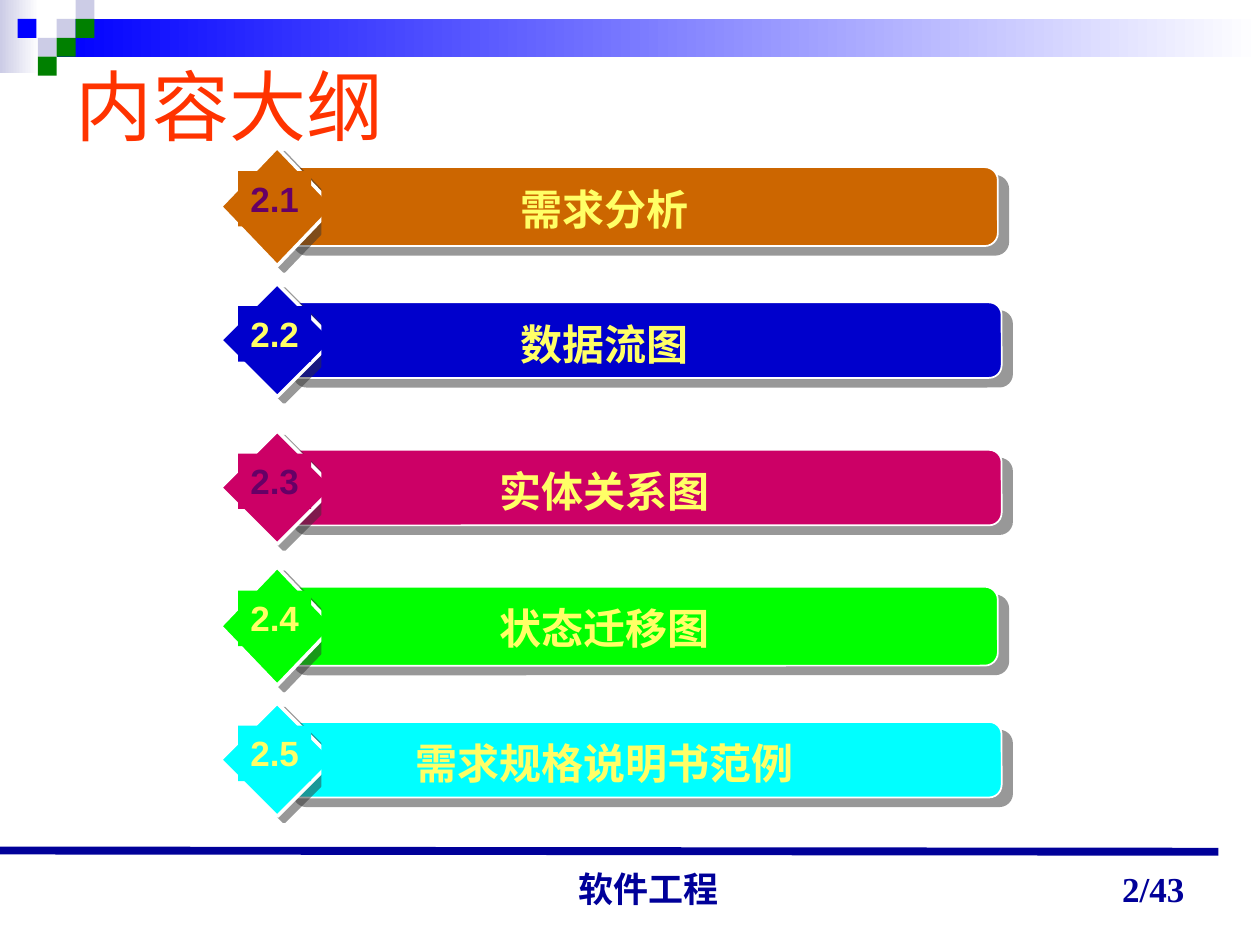
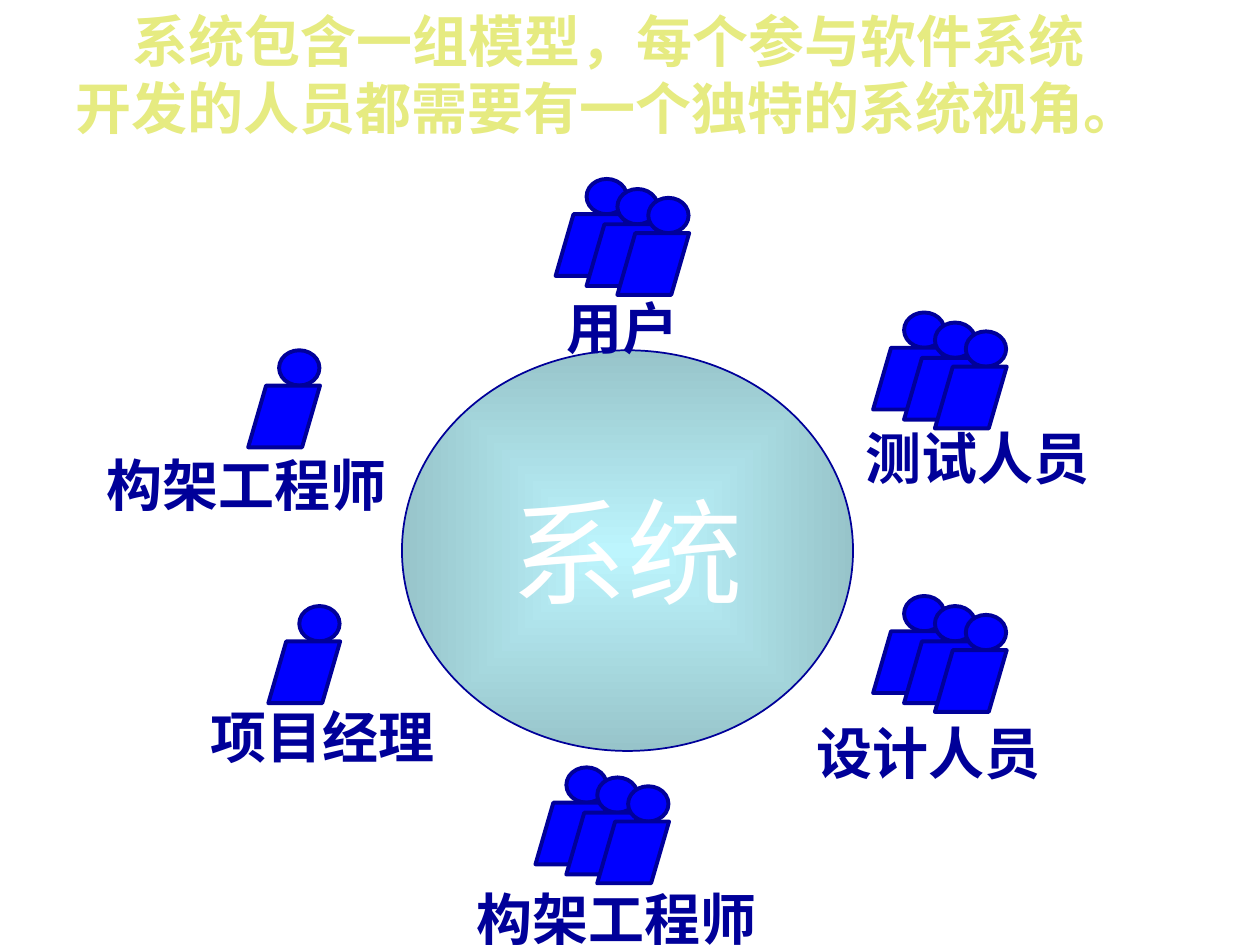
from lxml.etree import SubElement
from pptx import Presentation
from pptx.dml.color import RGBColor
from pptx.enum.shapes import MSO_CONNECTOR, MSO_SHAPE as Kind
from pptx.enum.text import MSO_ANCHOR as Anchor, PP_ALIGN as Align
from pptx.oxml import parse_xml
from pptx.oxml.ns import nsdecls, qn
from pptx.util import Pt

COLORS = {
    "navy": "000099", "blue": "0000FF", "lilac": "CCCCE6", "green": "008000",
    "white": "FFFFFF", "title": "FF3300", "caption": "FFFF66", "plum": "660066",
    "orange": "CC6600", "royal": "0000CC", "magenta": "CC0066", "lime": "00FF00",
    "cyan": "00FFFF", "shadow": "333333", "heading": "E6EB81",
    "core": "BDF5FD", "rim": "97C4CA",
}
COLORS = {name: RGBColor.from_string(value) for name, value in COLORS.items()}

presentation = Presentation()
presentation.slide_width, presentation.slide_height = Pt(720), Pt(540)
COLUMN = presentation.slide_width / 100
ROW = presentation.slide_height / 75


def add_block(slide, kind, left, top, width, height, fill, line=None, line_width=1):
    shape = slide.shapes.add_shape(
        kind, round(left * COLUMN), round(top * ROW), round(width * COLUMN), round(height * ROW))
    shape.shadow.inherit = False
    if isinstance(fill, tuple):
        shape.fill.gradient()
        shape.fill.gradient_angle = 0
        for stop, color, position in zip(shape.fill.gradient_stops, fill, (0, 1)):
            stop.color.rgb = COLORS[color]
            stop.position = position
    elif fill:
        shape.fill.solid()
        shape.fill.fore_color.rgb = COLORS[fill]
    else:
        shape.fill.background()
    if line:
        shape.line.color.rgb = COLORS[line]
        shape.line.width = Pt(line_width)
    else:
        shape.line.fill.background()
    return shape


def write(shape, text, size, color, font="Arial", bold=True, align=Align.CENTER,
          anchor=Anchor.TOP, wrap=True):
    frame = shape.text_frame
    frame.text = text
    frame.word_wrap = wrap
    frame.vertical_anchor = anchor
    for paragraph in frame.paragraphs:
        paragraph.alignment = align
        paragraph.font.size = Pt(size)
        paragraph.font.name = font
        paragraph.font.bold = bold
        paragraph.font.color.rgb = COLORS[color]


outline = presentation.slides.add_slide(presentation.slide_layouts[5])
add_block(outline, Kind.RECTANGLE, 0, 0, 3.1, 5.8, ("lilac", "white"))
add_block(outline, Kind.RECTANGLE, 4.5, 1.5, 95.5, 3, ("blue", "white"))
TILE = 1.5
for column, row, color in [(3, 1, "lilac"), (4, 0, "lilac"), (4, 1, "green"), (2, 2, "lilac"),
                           (0.93, 1, "blue"), (3, 2, "green"), (2, 3, "green")]:
    add_block(outline, Kind.RECTANGLE, column * TILE, row * TILE, TILE, TILE, color)

rule = outline.shapes.add_connector(
    MSO_CONNECTOR.STRAIGHT, 0, round(67.5 * ROW), round(96.7 * COLUMN), round(67.6 * ROW))
rule.line.color.rgb = COLORS["navy"]
rule.line.width = Pt(4.5)
SubElement(rule.element.spPr, qn("a:effectLst"))

for left, top, width, height, text, font, align in [
        (35.6, 68.6, 31.7, 4.1, "软件工程", "Arial", Align.CENTER),
        (71.7, 67.7, 23.3, 5, "2/43", "Times New Roman", Align.RIGHT)]:
    footer = add_block(outline, Kind.RECTANGLE, left, top, width, height, None)
    write(footer, text, 20, "navy", font, align=align, anchor=Anchor.BOTTOM)

title = outline.shapes.title
title.left, title.top = round(5 * COLUMN), round(3.3 * ROW)
title.width, title.height = round(90 * COLUMN), round(10 * ROW)
write(title, "内容大纲", 44, "title", "Times New Roman", False, Align.LEFT, Anchor.MIDDLE)

for number, caption, color, number_color, top, height, bar_width in [
        ("2.1", "需求分析", "orange", "plum", 11.7, 9.4, 56.7),
        ("2.2", "数据流图", "royal", "caption", 22.5, 9, 57),
        ("2.3", "实体关系图", "magenta", "plum", 34.2, 9, 57),
        ("2.4", "状态迁移图", "lime", "caption", 45, 9.4, 56.7),
        ("2.5", "需求规格说明书范例", "cyan", "caption", 55.8, 9, 57)]:
    bar = add_block(outline, Kind.ROUNDED_RECTANGLE, 22.5, top + height / 6, bar_width,
                    height * 2 / 3, color, "white")
    diamond = add_block(outline, Kind.DIAMOND, 17.5, top, 9, height, color, "white", 2)
    for shape, distance, angle in [(bar, 7.8, 40), (diamond, 5, 37)]:
        effects = shape.element.spPr.find(qn("a:effectLst"))
        effects.append(parse_xml(
            f'<a:outerShdw {nsdecls("a")} blurRad="0" dist="{Pt(distance)}" '
            f'dir="{angle * 60000}" algn="ctr" rotWithShape="0">'
            f'<a:srgbClr val="{COLORS["shadow"]}"><a:alpha val="50000"/></a:srgbClr>'
            '</a:outerShdw>'))
    label = add_block(outline, Kind.RECTANGLE, 25.5, top + height / 4, 44.9, 5, color)
    write(label, caption, 24, "caption")
    badge = add_block(outline, Kind.RECTANGLE, 18.9, top + height / 5, 5.8, 4.4, color)
    write(badge, number, 20, number_color, wrap=False)

viewpoints = presentation.slides.add_slide(presentation.slide_layouts[6])
heading = add_block(viewpoints, Kind.RECTANGLE, 5, 0, 91.7, 12.4, None)
write(heading, "系统包含一组模型，每个参与软件系统\n开发的人员都需要有一个独特的系统视角。", 32, "heading",
      "Noto Sans CJK SC", align=Align.LEFT)
first_line = heading.text_frame.paragraphs[0]
first_line._p.get_or_add_pPr().set("indent", str(round(4.5 * COLUMN)))

system = add_block(viewpoints, Kind.OVAL, 31.9, 27.8, 35.8, 31.8, ("core", "rim"), "navy")
linear = system.element.spPr.find(".//" + qn("a:lin"))
linear.getparent().replace(linear, parse_xml(
    f'<a:path {nsdecls("a")} path="rect">'
    '<a:fillToRect l="50000" t="50000" r="50000" b="50000"/></a:path>'))
write(system, "系统", 66, "white", bold=False, anchor=Anchor.MIDDLE, wrap=False)

CROWD = [(0, 0), (2.45, 0.8), (4.9, 1.5)]
for role, left, top, people, label_left, label_top, label_width in [
        ("构架工程师", 19.7, 27.8, 1, 7.5, 35.3, 24.2),
        ("项目经理", 21.3, 48.1, 1, 15.7, 55.3, 19.8),
        ("构架工程师", 42.5, 60.9, 3, 36.8, 69.7, 24.2),
        ("设计人员", 69.3, 47.3, 3, 63.8, 56.5, 19.8),
        ("测试人员", 69.3, 24.8, 3, 67.7, 33.1, 19.8),
        ("用户", 44.1, 14.2, 3, 44, 22.8, 10.9)]:
    label = add_block(viewpoints, Kind.RECTANGLE, label_left, label_top, label_width, 6.4, None)
    write(label, role, 32, "navy", align=Align.LEFT, wrap=False)
    for shift, drop in CROWD[:people]:
        add_block(viewpoints, Kind.OVAL, left + shift + 2.45, top + drop, 3.2, 2.8,
                  "blue", "navy", 2.25)
        body = add_block(viewpoints, Kind.PARALLELOGRAM, left + shift, top + drop + 2.8, 5.7, 4.9,
                         "blue", "navy", 2.25)
        body.adjustments[0] = 0.29

presentation.save("out.pptx")
